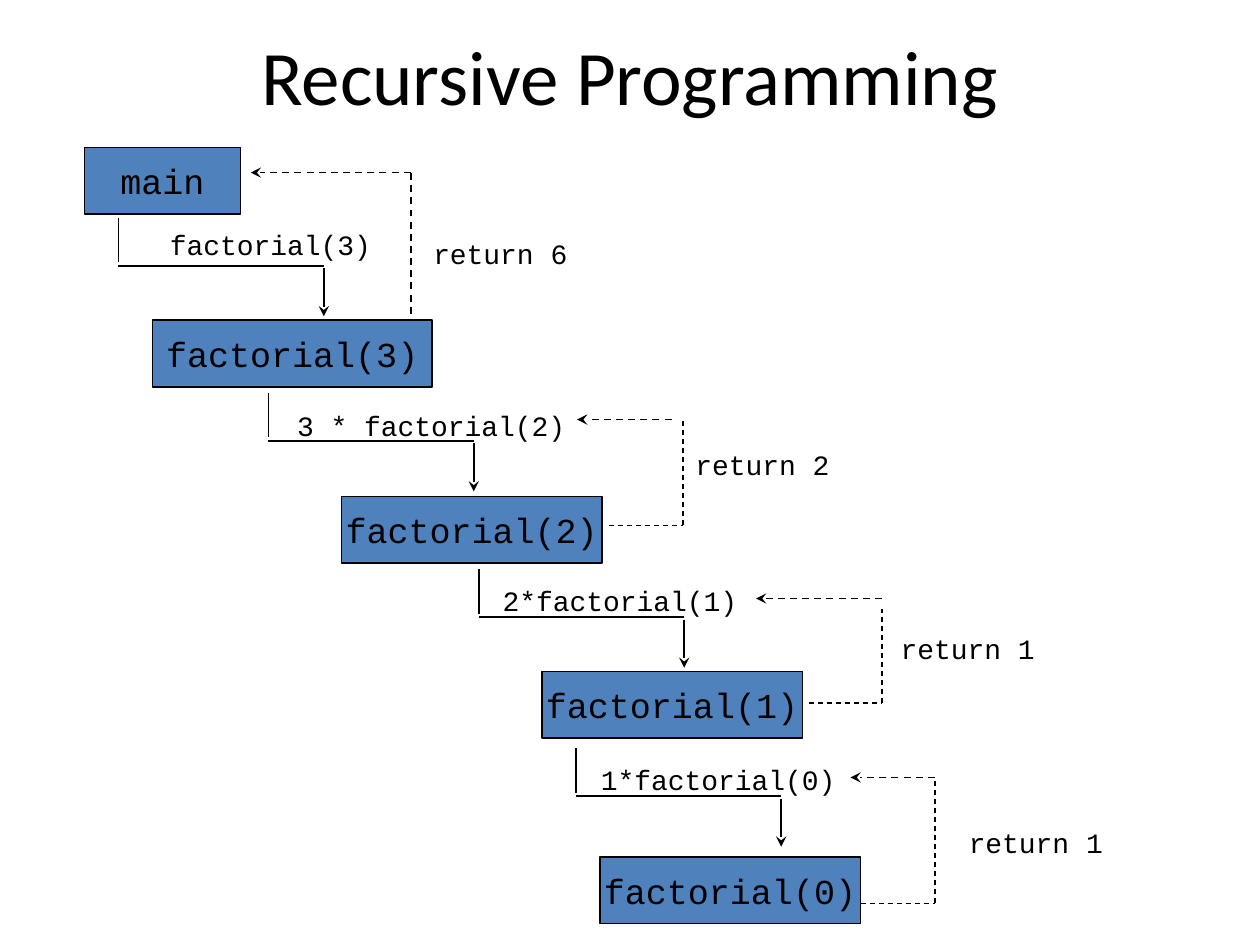
import pptx
import pptx.util
import pptx.dml.color
import pptx.enum.dml
import pptx.enum.shapes
import pptx.enum.text
import pptx.oxml
import pptx.oxml.ns

Inches = pptx.util.Inches
Pt = pptx.util.Pt
ALIGN = pptx.enum.text.PP_ALIGN
BLACK = pptx.dml.color.RGBColor(0, 0, 0)
BLUE = pptx.dml.color.RGBColor(0x4F, 0x81, 0xBD)
CODE = "Courier New"

# text, left, top, width
CALLS = [
    ("main", 0.67, 1.17, 1.24),
    ("factorial(3)", 1.21, 2.54, 2.22),
    ("factorial(2)", 2.71, 3.94, 2.07),
    ("factorial(1)", 4.3, 5.33, 2.07),
    ("factorial(0)", 4.76, 6.8, 2.07),
]
# left and top of the step, then text, left and top of its label
STEPS = [
    (0.94, 1.73, "factorial(3)", 1.25, 1.76),
    (2.13, 3.12, "3 * factorial(2)", 2.26, 3.19),
    (3.8, 4.52, "2*factorial(1)", 3.89, 4.58),
    (4.57, 5.94, "1*factorial(0)", 4.67, 6),
]
# text, left, top
RETURNS = [
    ("return 6", 3.34, 1.83),
    ("return 2", 5.42, 3.5),
    ("return 1", 7.05, 4.96),
    ("return 1", 7.59, 6.5),
]
# start, bend, end of the riser, start of the arrow, tip of the arrow
LOOPS = [
    ((4.83, 4.17), (5.42, 4.17), (5.42, 3.33), (5.33, 3.33), (4.58, 3.33)),
    ((6.42, 5.58), (7, 5.58), (7, 4.83), (7, 4.75), (6, 4.75)),
    ((6.83, 7.17), (7.42, 7.17), (7.42, 6.17), (7.42, 6.17), (6.75, 6.17)),
]


def write(frame, text, size, font, align):
    frame.vertical_anchor = pptx.enum.text.MSO_ANCHOR.MIDDLE
    para = frame.paragraphs[0]
    para.alignment = align
    run = para.add_run()
    run.text = text
    run.font.size = Pt(size)
    run.font.name = font
    run.font.color.rgb = BLACK


def add_title(slide, text):
    box = slide.shapes.add_textbox(Inches(0.5), Inches(0.3), Inches(9), Inches(0.58))
    box.text_frame.word_wrap = True
    write(box.text_frame, text, 44, "Calibri", ALIGN.CENTER)


def add_call(slide, text, left, top, width):
    box = slide.shapes.add_shape(
        pptx.enum.shapes.MSO_SHAPE.RECTANGLE,
        Inches(left), Inches(top), Inches(width), Inches(0.53))
    box.shadow.inherit = False
    box.fill.solid()
    box.fill.fore_color.rgb = BLUE
    box.line.color.rgb = BLACK
    box.line.width = Pt(1)
    box.text_frame.word_wrap = False
    write(box.text_frame, text, 20, CODE, ALIGN.CENTER)


def add_label(slide, text, left, top):
    """Size the box by its letters, which all have the same width."""
    width = 0.2 + len(text) * 16 * 0.6 / 72
    box = slide.shapes.add_textbox(Inches(left), Inches(top), Inches(width), Inches(0.37))
    frame = box.text_frame
    frame.word_wrap = False
    frame.auto_size = pptx.enum.text.MSO_AUTO_SIZE.SHAPE_TO_FIT_TEXT
    write(frame, text, 16, CODE, ALIGN.LEFT)
    frame.vertical_anchor = pptx.enum.text.MSO_ANCHOR.TOP


def add_line(slide, start, end, width=1, dash=False, arrow=False):
    line = slide.shapes.add_connector(
        pptx.enum.shapes.MSO_CONNECTOR.STRAIGHT,
        *[Inches(n) for n in (*start, *end)])
    line.line.color.rgb = BLACK
    line.line.width = Pt(width)
    if dash:
        line.line.dash_style = pptx.enum.dml.MSO_LINE.DASH
    if arrow:
        tail = pptx.oxml.parse_xml(
            f'<a:tailEnd {pptx.oxml.ns.nsdecls("a")} type="stealth"/>')
        line.line._get_or_add_ln().append(tail)
    props = line._element.spPr
    props.append(pptx.oxml.parse_xml(f'<a:effectLst {pptx.oxml.ns.nsdecls("a")}/>'))


def add_step(slide, left, top):
    """Draw the bent path from a call down to the next one."""
    right = left + 1.63
    add_line(slide, (left, top), (left, top + 0.35))
    add_line(slide, (left, top + 0.38), (right, top + 0.38))
    add_line(slide, (right, top + 0.4), (right, top + 0.78), arrow=True)


def add_loop(slide, start, bend, rise, turn, tip):
    """Draw the dashed path of a value going back to its caller."""
    add_line(slide, start, bend, 0.75, dash=True)
    add_line(slide, bend, rise, 0.75, dash=True)
    add_line(slide, turn, tip, dash=True, arrow=True)


def main():
    deck = pptx.Presentation()
    deck.slide_width = Inches(10)
    deck.slide_height = Inches(7.5)
    slide = deck.slides.add_slide(deck.slide_layouts[6])

    add_title(slide, "Recursive Programming")
    for call in CALLS:
        add_call(slide, *call)
    for left, top, *label in STEPS:
        add_step(slide, left, top)
        add_label(slide, *label)
    add_line(slide, (3.26, 2.49), (3.26, 1.37), dash=True)
    add_line(slide, (3.26, 1.37), (1.99, 1.37), dash=True, arrow=True)
    for loop in LOOPS:
        add_loop(slide, *loop)
    for label in RETURNS:
        add_label(slide, *label)
    deck.save("out.pptx")


if __name__ == "__main__":
    main()
